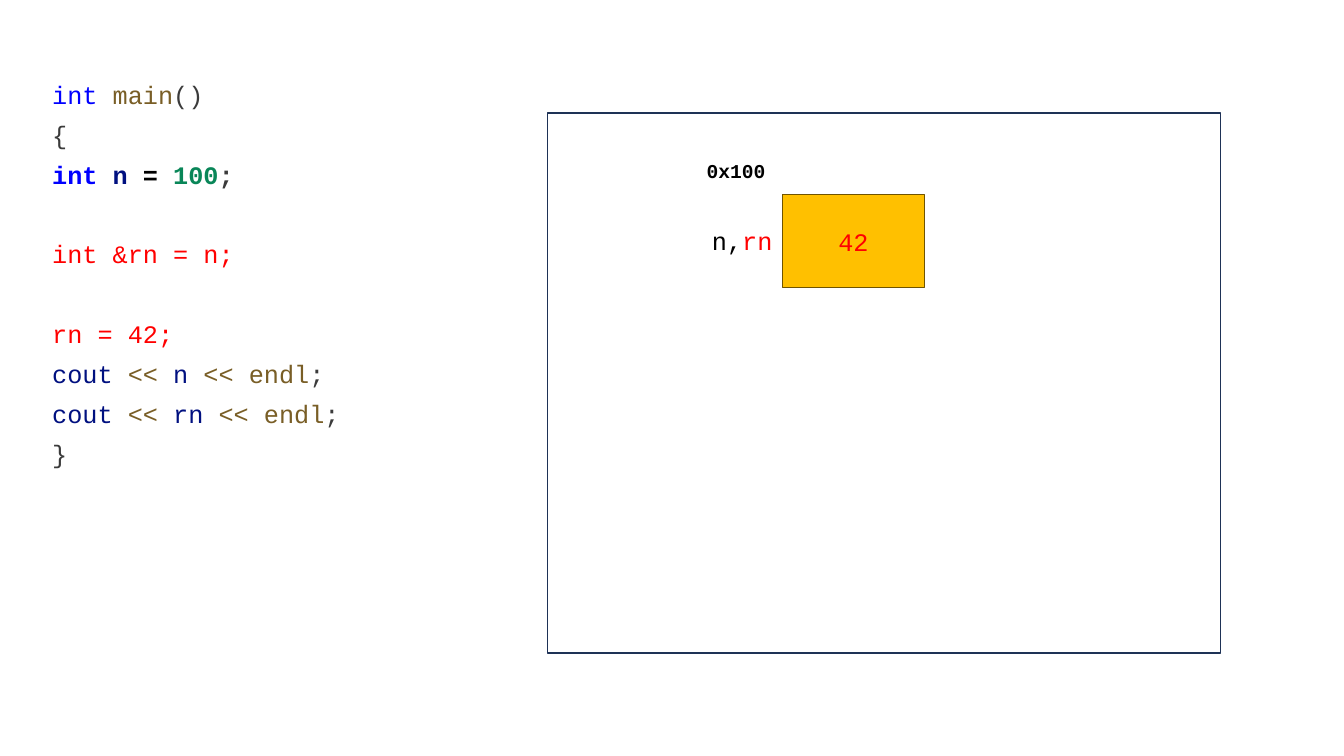
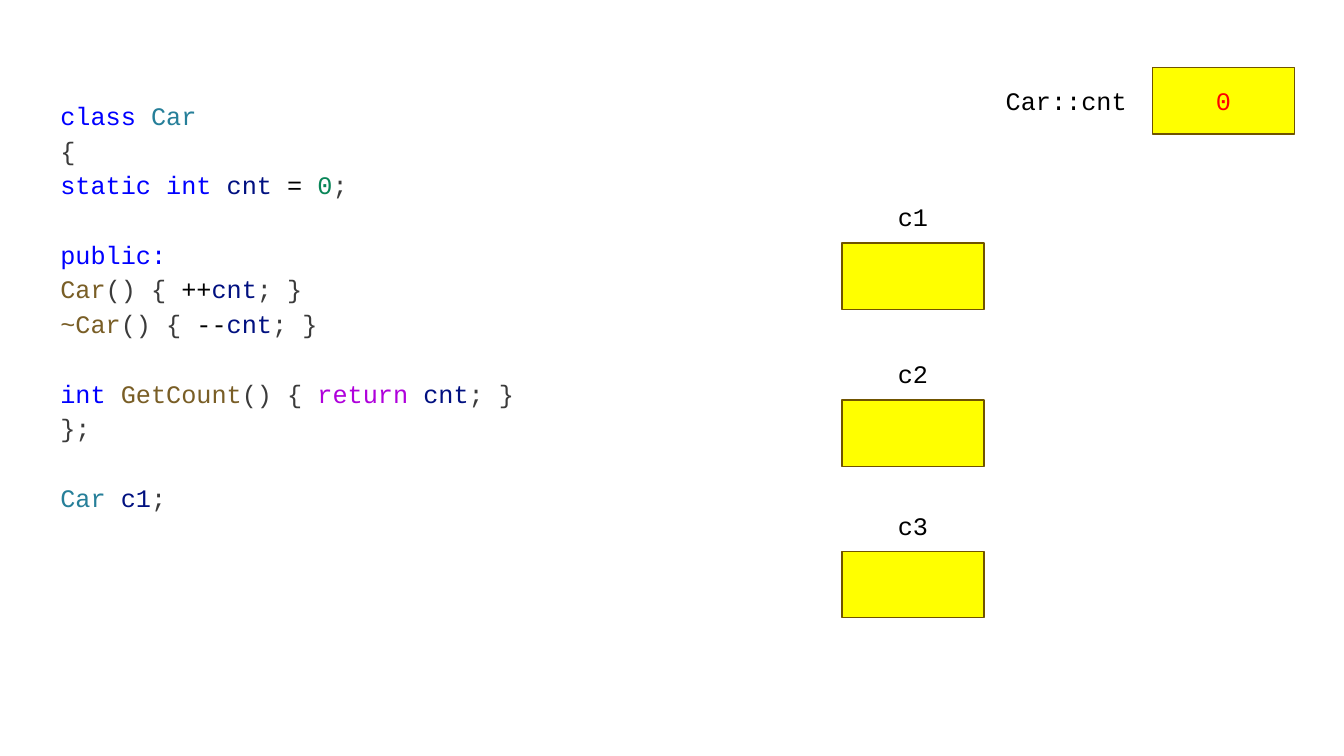
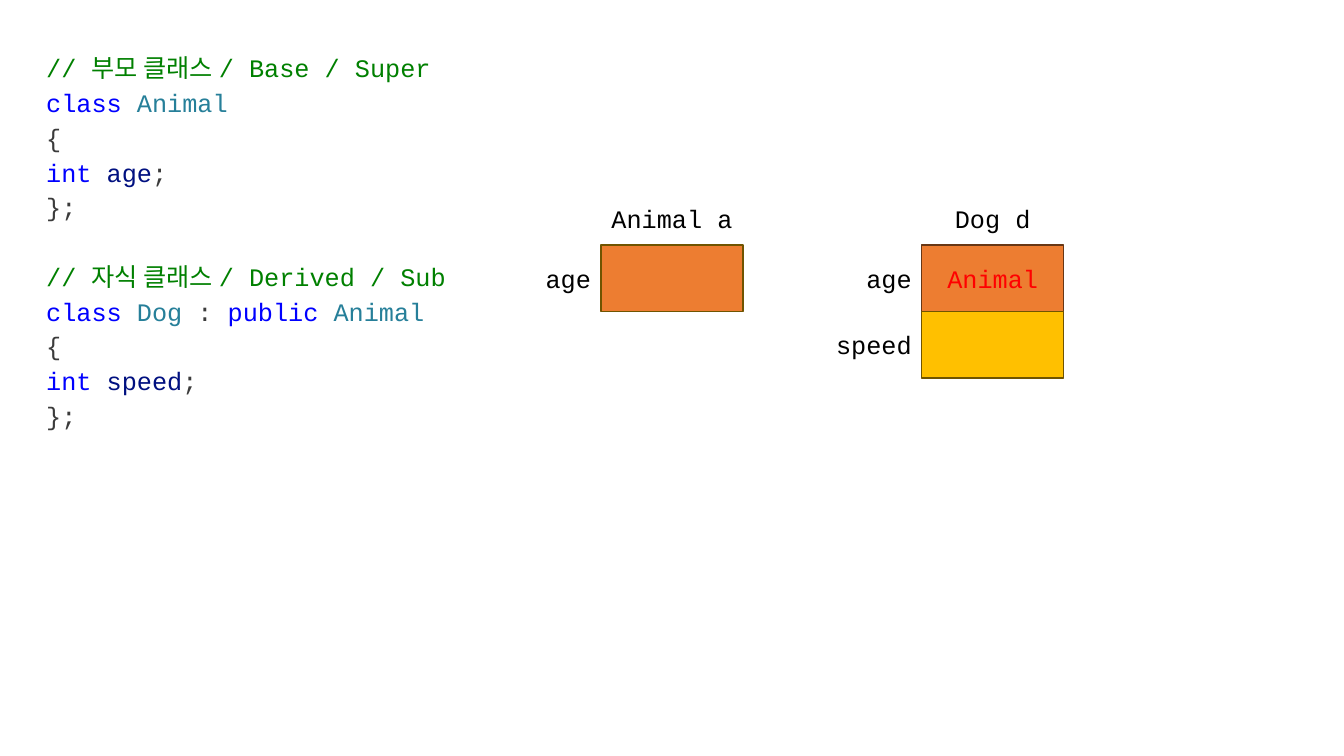
from dataclasses import dataclass
from enum import Enum
from typing import NamedTuple

from pptx import Presentation
from pptx.dml.color import RGBColor
from pptx.enum.shapes import MSO_SHAPE
from pptx.enum.text import MSO_ANCHOR, MSO_AUTO_SIZE, PP_ALIGN
from pptx.util import Inches, Pt


class Ink(Enum):
    KEYWORD = "0000FF"
    FUNCTION = "795E26"
    TYPE = "267F99"
    VARIABLE = "001080"
    NUMBER = "098658"
    FLOW = "AF00DB"
    COMMENT = "008000"
    PUNCT = "3B3B3B"
    PLAIN = "000000"
    ACCENT = "FF0000"


@dataclass(frozen=True)
class Theme:
    font: str = "Courier New"
    body: float = 18
    small: float = 14
    line_width: float = 1
    white: str = "FFFFFF"
    gold: str = "FFC000"
    yellow: str = "FFFF00"
    orange: str = "ED7D31"
    panel_line: str = "1E3256"
    gold_line: str = "705400"
    orange_line: str = "683715"


THEME = Theme()
WIDTH, HEIGHT = Inches(13.33), Inches(7.5)

# All lengths below are percentages of the slide's width or height.
CELL_W, CELL_H = 10.58, 8.8
LABEL_H = 5.33
NAME_RISE = 6.13
FIELD_W = 8.63


class Area(NamedTuple):
    left: float
    top: float
    width: float
    height: float

    def emu(self) -> tuple[int, int, int, int]:
        return (round(WIDTH * self.left / 100), round(HEIGHT * self.top / 100),
                round(WIDTH * self.width / 100), round(HEIGHT * self.height / 100))


class Run(NamedTuple):
    text: str
    ink: Ink = Ink.PLAIN
    bold: bool = False


class Line(NamedTuple):
    """One line of code; gap leaves one line free above it."""
    runs: list[Run]
    gap: bool = False


@dataclass(frozen=True)
class Cell:
    """A memory cell with an optional name above and field at its left."""
    left: float
    top: float
    fill: str
    border: str = THEME.gold_line
    height: float = CELL_H
    value: str = ""
    name: str = ""
    field: tuple[Run, ...] = ()
    field_width: float = FIELD_W


def write(p, runs, *, size=THEME.body, align=PP_ALIGN.LEFT):
    p.alignment = align
    for run in runs:
        r = p.add_run()
        r.text = run.text
        r.font.name = THEME.font
        r.font.size = Pt(size)
        r.font.bold = run.bold
        r.font.color.rgb = RGBColor.from_string(run.ink.value)


def text_frame(s, area: Area):
    tf = s.shapes.add_textbox(*area.emu()).text_frame
    tf.word_wrap = True
    tf.auto_size = MSO_AUTO_SIZE.SHAPE_TO_FIT_TEXT
    return tf


def add_label(s, area: Area, *runs: Run, **fmt):
    write(text_frame(s, area).paragraphs[0], runs, **fmt)


def add_code(s, area: Area, lines: list[Line], pitch: float):
    tf = text_frame(s, area)
    for i, line in enumerate(lines):
        p = tf.add_paragraph() if i else tf.paragraphs[0]
        p.line_spacing = Pt(pitch)
        p.space_before = Pt(pitch if line.gap else 0)
        write(p, line.runs)


def add_rect(s, area: Area, fill: str, border: str):
    sp = s.shapes.add_shape(MSO_SHAPE.RECTANGLE, *area.emu())
    sp.shadow.inherit = False
    sp.fill.solid()
    sp.fill.fore_color.rgb = RGBColor.from_string(fill)
    sp.line.color.rgb = RGBColor.from_string(border)
    sp.line.width = Pt(THEME.line_width)
    return sp


def add_cell(s, cell: Cell):
    sp = add_rect(s, Area(cell.left, cell.top, CELL_W, cell.height), cell.fill, cell.border)
    if cell.value:
        tf = sp.text_frame
        tf.vertical_anchor = MSO_ANCHOR.MIDDLE
        write(tf.paragraphs[0], [Run(cell.value, Ink.ACCENT)], align=PP_ALIGN.CENTER)
    if cell.name:
        add_label(s, Area(cell.left, cell.top - NAME_RISE, CELL_W, LABEL_H),
                  Run(cell.name), align=PP_ALIGN.CENTER)
    if cell.field:
        area = Area(cell.left - cell.field_width, cell.top + (cell.height - LABEL_H) / 2,
                    cell.field_width, LABEL_H)
        add_label(s, area, *cell.field, align=PP_ALIGN.RIGHT)


def punct(text: str) -> Line:
    return Line([Run(text, Ink.PUNCT)])


def print_line(variable: str) -> Line:
    return Line([Run("cout ", Ink.VARIABLE), Run("<< ", Ink.FUNCTION),
                 Run(f"{variable} ", Ink.VARIABLE), Run("<< endl", Ink.FUNCTION),
                 Run(";", Ink.PUNCT)])


def counter_line(function: str, operator: str) -> Line:
    return Line([Run(function, Ink.FUNCTION), Run("() { ", Ink.PUNCT), Run(operator),
                 Run("cnt", Ink.VARIABLE), Run("; }", Ink.PUNCT)])


def declaration(kind: str, variable: str, ink=Ink.KEYWORD, gap=False) -> Line:
    return Line([Run(f"{kind} ", ink), Run(variable, Ink.VARIABLE), Run(";", Ink.PUNCT)], gap)


def class_head(name: str) -> Line:
    return Line([Run("class ", Ink.KEYWORD), Run(name, Ink.TYPE)])


def reference_slide(s):
    code = [
        Line([Run("int ", Ink.KEYWORD), Run("main", Ink.FUNCTION), Run("()", Ink.PUNCT)]),
        punct("{"),
        Line([Run("int ", Ink.KEYWORD, True), Run("n ", Ink.VARIABLE, True),
              Run("= ", Ink.PLAIN, True), Run("100", Ink.NUMBER, True),
              Run(";", Ink.PUNCT, True)]),
        Line([Run("int &rn = n;", Ink.ACCENT)], gap=True),
        Line([Run("rn = 42;", Ink.ACCENT)], gap=True),
        print_line("n"),
        print_line("rn"),
        punct("}"),
    ]
    add_code(s, Area(3.15, 8.53, 49.96, 55.2), code, pitch=28.5)
    add_rect(s, Area(40.73, 14.93, 50.11, 71.47), THEME.white, THEME.panel_line)
    add_cell(s, Cell(58.21, 25.73, THEME.gold, height=12.27, value="42",
                     field=(Run("n,"), Run("rn", Ink.ACCENT)), field_width=12.15))
    add_label(s, Area(51.84, 20.4, 13.43, 4.53), Run("0x100", bold=True), size=THEME.small)


def static_member_slide(s):
    code = [
        class_head("Car"),
        punct("{"),
        Line([Run("static int ", Ink.KEYWORD), Run("cnt ", Ink.VARIABLE), Run("= "),
              Run("0", Ink.NUMBER), Run(";", Ink.PUNCT)]),
        Line([Run("public:", Ink.KEYWORD)], gap=True),
        counter_line("Car", "++"),
        counter_line("~Car", "--"),
        Line([Run("int ", Ink.KEYWORD), Run("GetCount", Ink.FUNCTION),
              Run("() { ", Ink.PUNCT), Run("return ", Ink.FLOW),
              Run("cnt", Ink.VARIABLE), Run("; }", Ink.PUNCT)], gap=True),
        punct("};"),
        declaration("Car", "c1", Ink.TYPE, gap=True),
    ]
    add_code(s, Area(3.75, 12, 50, 57.3), code, pitch=24.8)
    for name, top in (("c1", 32.13), ("c2", 52.93), ("c3", 72.93)):
        add_cell(s, Cell(62.64, top, THEME.yellow, name=name))
    add_cell(s, Cell(85.75, 8.93, THEME.yellow, value="0"))
    add_label(s, Area(74.04, 10.67, CELL_W, LABEL_H), Run("Car::cnt"), align=PP_ALIGN.CENTER)


def inheritance_slide(s):
    code = [
        Line([Run("// 부모 클래스 / Base / Super", Ink.COMMENT)]),
        class_head("Animal"),
        punct("{"),
        declaration("int", "age"),
        punct("};"),
        Line([Run("// 자식 클래스 / Derived / Sub", Ink.COMMENT)], gap=True),
        Line([*class_head("Dog").runs, Run(" : ", Ink.PUNCT),
              Run("public ", Ink.KEYWORD), Run("Animal", Ink.TYPE)]),
        punct("{"),
        declaration("int", "speed"),
        punct("};"),
    ]
    top, dog_left = 32.4, 68.57
    age = (Run("age"),)
    for cell in (
        Cell(44.71, top, THEME.orange, name="Animal a", field=age),
        Cell(dog_left, top, THEME.orange, THEME.orange_line, value="Animal",
             name="Dog d", field=age),
        Cell(dog_left, top + CELL_H, THEME.gold, field=(Run("speed"),)),
    ):
        add_cell(s, cell)
    add_code(s, Area(2.7, 5.73, 33.16, 66.53), code, pitch=24.8)


def main():
    prs = Presentation()
    prs.slide_width, prs.slide_height = WIDTH, HEIGHT
    blank = prs.slide_layouts[6]
    for build in (reference_slide, static_member_slide, inheritance_slide):
        build(prs.slides.add_slide(blank))
    prs.save("out.pptx")


if __name__ == "__main__":
    main()
